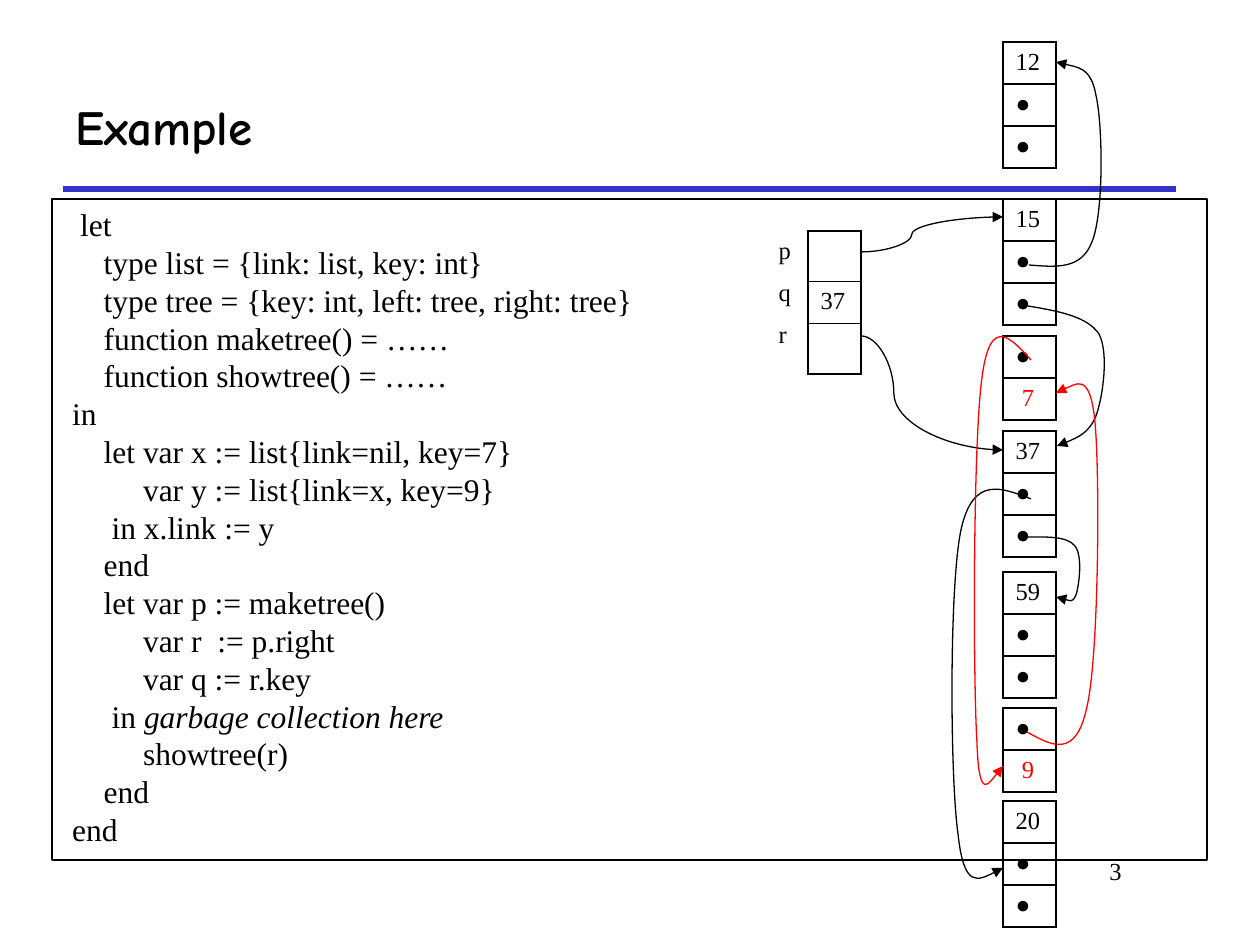
from dataclasses import dataclass

from lxml.etree import SubElement
from pptx import Presentation
from pptx.dml.color import RGBColor as RGB
from pptx.enum.shapes import MSO_CONNECTOR as LINE, MSO_SHAPE as SHAPE
from pptx.enum.text import MSO_ANCHOR as ANCHOR, PP_ALIGN as ALIGN
from pptx.oxml.ns import qn
from pptx.util import Pt

EMU_PER_PX = 914400 / 126
CELL_W, CELL_H, LABEL_W = 53, 40, 42
HEAP_X, VARS_X, VARS_Y = 1003, 808, 231
DOT = "●"


@dataclass(frozen=True)
class Theme:
    ink: RGB = RGB(0, 0, 0)
    red: RGB = RGB(0xFF, 0, 0)
    rule: RGB = RGB(0x33, 0x33, 0xCC)
    serif: str = "Times New Roman"
    display: str = "Comic Neue"
    title: Pt = Pt(28)
    code: Pt = Pt(18)
    code_line: Pt = Pt(21.6)
    small: Pt = Pt(14)
    thin: Pt = Pt(0.75)
    border: Pt = Pt(1)
    thick: Pt = Pt(3)


def px(length):
    return round(length * EMU_PER_PX)


def box(*lengths):
    return [px(length) for length in lengths]


def put(target, **values):
    for name, value in values.items():
        setattr(target, name, value)


class SlideWriter:
    """Draws styled elements on one slide, with lengths in px."""

    def __init__(self, deck, theme):
        self.theme = theme
        self.slide = deck.slides.add_slide(deck.slide_layouts[5])
        self.shapes = self.slide.shapes

    def run(self, paragraph, text, size, color=None, **font):
        run = paragraph.add_run()
        run.text = text
        put(run.font, **{"name": self.theme.serif, "size": size, **font})
        run.font.color.rgb = color or self.theme.ink

    def stroke(self, shape, color, width, arrow=False):
        shape.line.color.rgb = color
        shape.line.width = width
        if arrow:
            SubElement(shape.line._get_or_add_ln(), qn("a:tailEnd"), type="triangle")

    def title(self, text, *place):
        title = self.shapes.title
        put(title, **dict(zip(("left", "top", "width", "height"), box(*place))))
        title.text_frame.vertical_anchor = ANCHOR.MIDDLE
        paragraph = title.text_frame.paragraphs[0]
        paragraph.alignment = ALIGN.LEFT
        self.run(paragraph, text, self.theme.title, name=self.theme.display, bold=True)

    def number(self, text, *place):
        frame = self.shapes.add_textbox(*box(*place)).text_frame
        frame.word_wrap = True
        frame.paragraphs[0].alignment = ALIGN.RIGHT
        self.run(frame.paragraphs[0], text, self.theme.small)

    def code(self, lines, *place):
        panel = self.shapes.add_shape(SHAPE.RECTANGLE, *box(*place))
        panel.shadow.inherit = False
        panel.fill.background()
        self.stroke(panel, self.theme.ink, self.theme.thin)
        frame = panel.text_frame
        put(frame, word_wrap=True, vertical_anchor=ANCHOR.TOP)
        for index, line in enumerate(lines):
            paragraph = frame.add_paragraph() if index else frame.paragraphs[0]
            put(paragraph, alignment=ALIGN.LEFT, line_spacing=self.theme.code_line)
            plain, _, remark = line.partition("|")
            self.run(paragraph, plain, self.theme.code)
            if remark:
                self.run(paragraph, remark, self.theme.code, italic=True)

    def edges(self, cell, bordered):
        properties = cell._tc.get_or_add_tcPr()
        for side in ("a:lnL", "a:lnR", "a:lnT", "a:lnB"):
            edge = SubElement(properties, qn(side), w=str(self.theme.border))
            if bordered:
                fill = SubElement(edge, qn("a:solidFill"))
                SubElement(fill, qn("a:srgbClr"), val=str(self.theme.ink))
            else:
                SubElement(edge, qn("a:noFill"))

    def cells(self, values, left, top, width=CELL_W, bordered=True, red_row=None):
        place = box(left, top, width, CELL_H * len(values))
        table = self.shapes.add_table(len(values), 1, *place).table
        put(table, first_row=False, horz_banding=False)
        for row, value in enumerate(values):
            cell = table.cell(row, 0)
            self.edges(cell, bordered)
            cell.fill.background()
            paragraph = cell.text_frame.paragraphs[0]
            color = self.theme.ink
            if row == red_row:
                color = self.theme.red
                cell.margin_left = px(19)
            self.run(paragraph, value, self.theme.small, color)

    def connector(self, kind, ends, color, width, arrow=False, bend=None):
        connector = self.shapes.add_connector(kind, *box(*ends))
        self.stroke(connector, color, width, arrow)
        properties = connector._element.spPr
        SubElement(properties, qn("a:effectLst"))
        if bend:
            guides = properties.find(qn("a:prstGeom")).get_or_add_avLst()
            SubElement(guides, qn("a:gd"), name="adj1", fmla=f"val {bend}")

    def pointer(self, start, controls, color):
        builder = self.shapes.build_freeform(*start, scale=EMU_PER_PX)
        builder.add_line_segments(controls, close=False)
        curve = builder.convert_to_shape()
        curve.shadow.inherit = False
        curve.fill.background()
        self.stroke(curve, color, self.theme.thin, arrow=True)
        outline = next(curve._element.iter(qn("a:path")))
        for index, step in enumerate(outline.findall(qn("a:lnTo"))):
            if index % 3 == 0:
                bezier = SubElement(outline, qn("a:cubicBezTo"))
            bezier.append(step[0])
            outline.remove(step)


CODE = [
    "  let",
    "     type list = {link: list, key: int}",
    "     type tree = {key: int, left: tree, right: tree}",
    "     function maketree() = ……",
    "     function showtree() = ……",
    " in",
    "     let var x := list{link=nil, key=7}",
    "          var y := list{link=x, key=9}",
    "      in x.link := y",
    "     end",
    "     let var p := maketree()",
    "          var r  := p.right",
    "          var q := r.key",
    "      in |garbage collection here",
    "          showtree(r)",
    "     end",
    " end",
]
TREE_NODES = {"12": 42, "15": 199, "37": 431, "59": 572, "20": 801}
LIST_NODES = {"7": 336, "9": 708}
VARIABLE_ARROWS = [((861, 252, HEAP_X, 217), 35800), ((861, 336, HEAP_X, 450), 23100)]
TREE_POINTERS = [
    ((1028, 306), [(1057, 311), (1087, 316), (1099, 334), (1109, 353), (1103, 397),
                   (1096, 416), (1089, 433), (1073, 440), (1057, 446)]),
    ((1029, 265), [(1056, 267), (1081, 270), (1092, 242), (1104, 213), (1103, 125),
                   (1096, 95), (1091, 66), (1056, 62), (1056, 62)]),
    ((1031, 499), [(1002, 488), (973, 475), (961, 530), (949, 587), (950, 777),
                   (958, 834), (964, 890), (984, 878), (1003, 868)]),
    ((1028, 537), [(1047, 537), (1067, 536), (1075, 546), (1083, 556), (1079, 586),
                   (1076, 595), (1072, 604), (1056, 597), (1056, 597)]),
]
LIST_POINTERS = [
    ((1027, 732), [(1052, 746), (1076, 759), (1087, 707), (1099, 656), (1100, 475),
                   (1095, 422), (1090, 369), (1056, 393), (1056, 393)]),
    ((1031, 360), [(1011, 338), (990, 314), (982, 378), (973, 442), (973, 678),
                   (977, 742), (979, 806), (1003, 766), (1003, 766)]),
]


def main():
    deck = Presentation()
    put(deck, slide_width=px(1260), slide_height=px(945))
    theme = Theme()
    writer = SlideWriter(deck, theme)
    writer.connector(LINE.STRAIGHT, (63, 189, 1176, 189), theme.rule, theme.thick)
    writer.number("3", 872, 850, 262, 63)
    writer.title("Example", 63, 63, 1113, 126)
    writer.code(CODE, 52, 199, 1155, 661)
    writer.cells(["", "37", ""], VARS_X, VARS_Y)
    writer.cells(["p", "q", "r"], VARS_X - LABEL_W, VARS_Y, LABEL_W, bordered=False)
    for key, top in TREE_NODES.items():
        writer.cells([key, DOT, DOT], HEAP_X, top)
    for key, top in LIST_NODES.items():
        writer.cells([DOT, key], HEAP_X, top, red_row=1)
    for ends, bend in VARIABLE_ARROWS:
        writer.connector(LINE.CURVE, ends, theme.ink, theme.thin, True, bend)
    for pointers, color in ((TREE_POINTERS, theme.ink), (LIST_POINTERS, theme.red)):
        for start, controls in pointers:
            writer.pointer(start, controls, color)
    deck.save("out.pptx")


if __name__ == "__main__":
    main()
